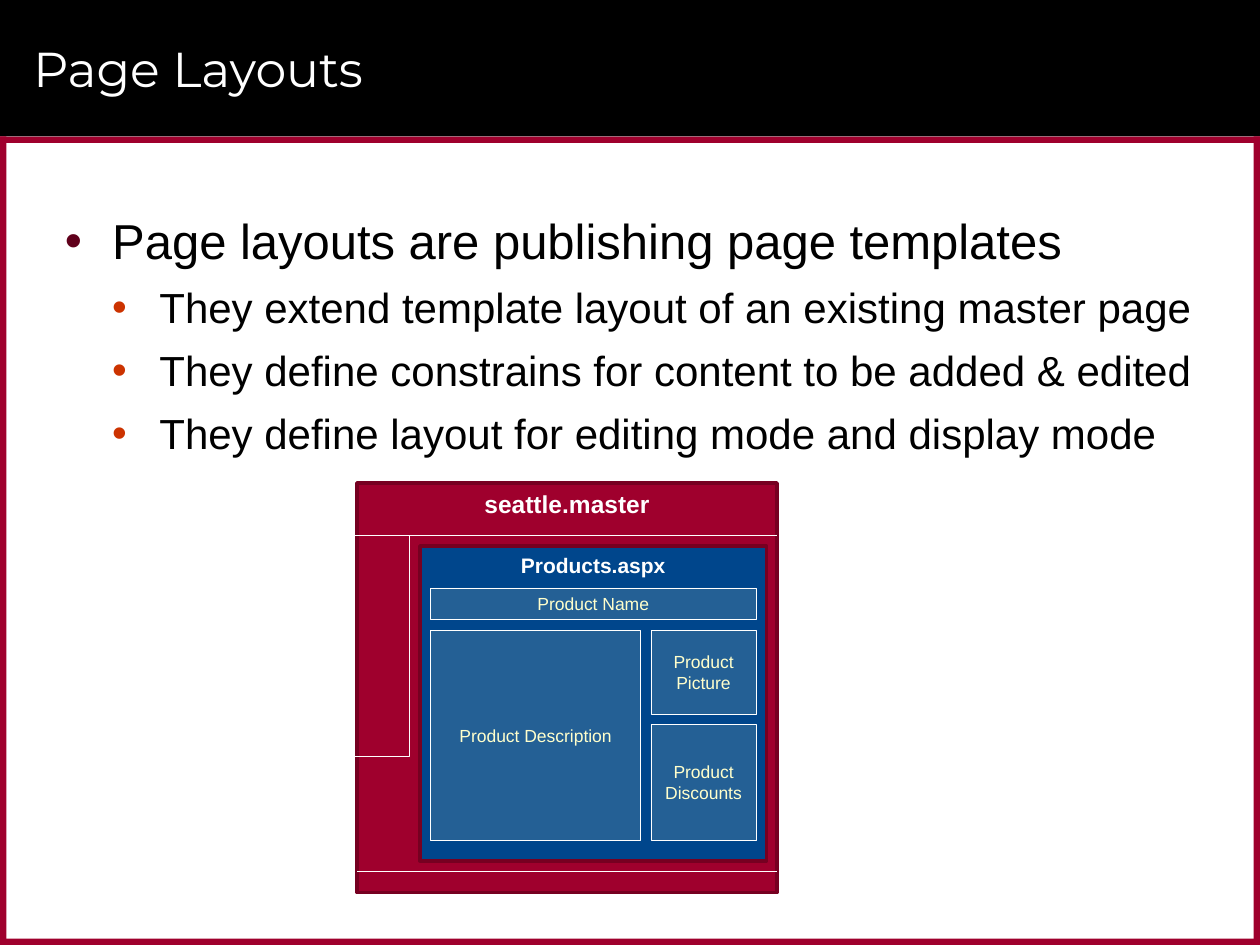
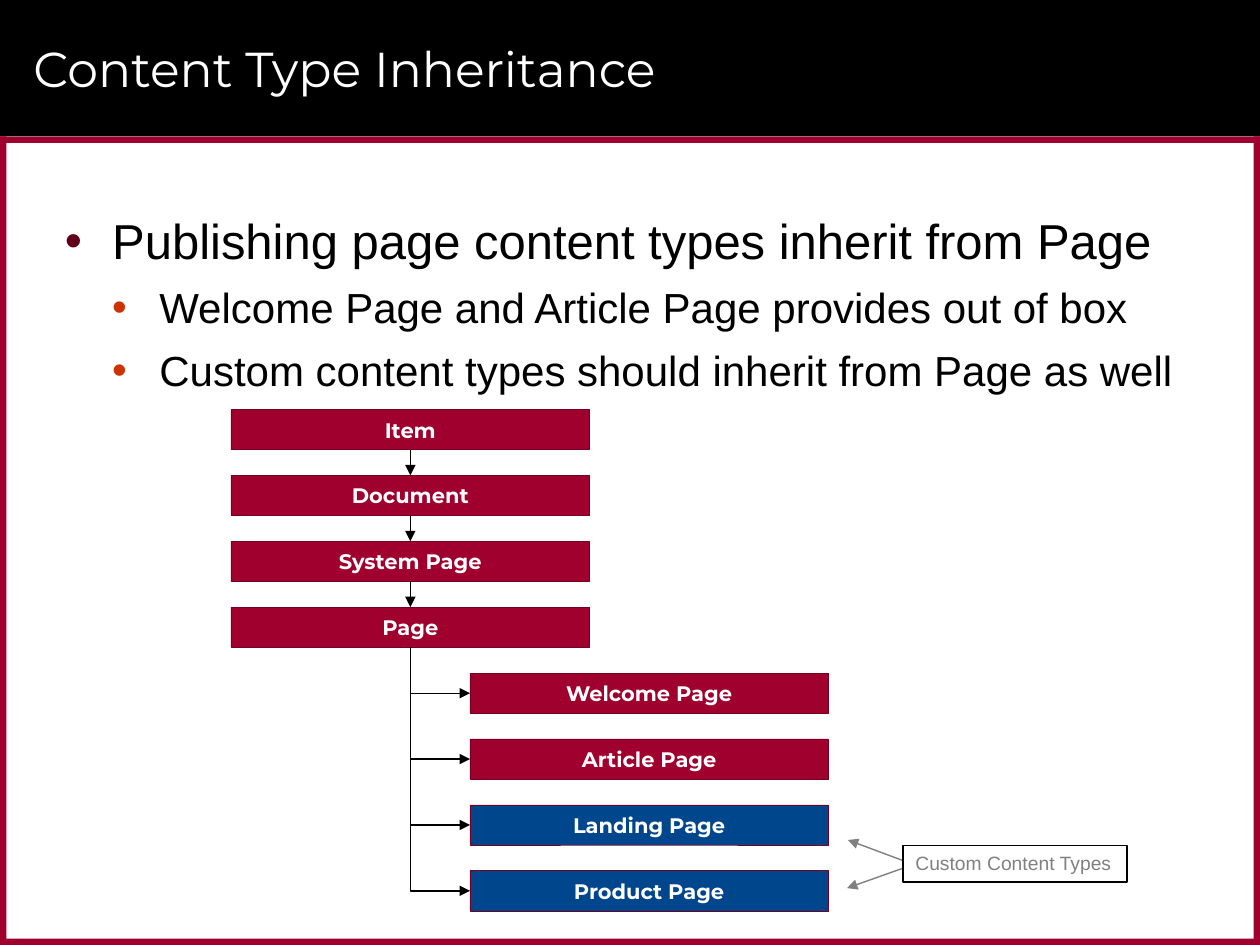
from lxml.etree import SubElement
from pptx import Presentation
from pptx.dml.color import RGBColor
from pptx.enum.shapes import MSO_CONNECTOR as CONNECTOR, MSO_SHAPE as SHAPE
from pptx.enum.text import MSO_ANCHOR as ANCHOR, PP_ALIGN as ALIGN
from pptx.oxml.ns import qn
from pptx.util import Pt

WHITE = RGBColor(0xFF, 0xFF, 0xFF)
BLACK = RGBColor(0x00, 0x00, 0x00)
CRIMSON = RGBColor(0x9F, 0x00, 0x2D)
DARK_CRIMSON = RGBColor(0x76, 0x00, 0x21)
BLUE = RGBColor(0x00, 0x46, 0x8C)
CREAM = RGBColor(0xFF, 0xFF, 0xCC)
GRAY = RGBColor(0x80, 0x80, 0x80)

BODY_FONT = "Arial"
TITLE_FONT = "Montserrat"
WIDTH, HEIGHT = 720, 540
HEADER_HEIGHT, FRAME = 78, 3.6

# Level: size, left margin, hanging indent, space before, space after, bullet
LEVELS = [(28, 27, 27, 0, 3, "60001B"), (24, 54, 27, 3.6, 3.6, "CC3300")]

CONTENT = [
    ("Page Layouts", [
        (0, "Page layouts are publishing page templates"),
        (1, "They extend template layout of an existing master page"),
        (1, "They define constrains for content to be added & edited"),
        (1, "They define layout for editing mode and display mode"),
    ]),
    ("Content Type Inheritance", [
        (0, "Publishing page content types inherit from Page"),
        (1, "Welcome Page and Article Page provides out of box"),
        (1, "Custom content types should inherit from Page as well"),
    ]),
]


def add_box(slide, left, top, width, height, fill=None, line=None, line_width=0.25,
            text="", size=12, font=BODY_FONT, color=WHITE, bold=False,
            anchor=ANCHOR.MIDDLE, align=ALIGN.CENTER):
    shape = slide.shapes.add_shape(SHAPE.RECTANGLE, Pt(left), Pt(top), Pt(width), Pt(height))
    shape.shadow.inherit = False
    if fill is None:
        shape.fill.background()
    else:
        shape.fill.solid()
        shape.fill.fore_color.rgb = fill
    if line is None:
        shape.line.fill.background()
    else:
        shape.line.color.rgb = line
        shape.line.width = Pt(line_width)
    if text:
        text_frame = shape.text_frame
        text_frame.text = text
        text_frame.vertical_anchor = anchor
        text_frame.margin_left = text_frame.margin_right = Pt(3.6)
        paragraph = text_frame.paragraphs[0]
        paragraph.alignment = align
        paragraph.font.name = font
        paragraph.font.size = Pt(size)
        paragraph.font.bold = bold
        paragraph.font.color.rgb = color
    return shape


def add_line(slide, x1, y1, x2, y2, color, arrow=True, kind=CONNECTOR.STRAIGHT):
    connector = slide.shapes.add_connector(kind, Pt(x1), Pt(y1), Pt(x2), Pt(y2))
    connector.line.color.rgb = color
    connector.line.width = Pt(0.79)
    properties = connector._element.spPr
    if arrow:
        SubElement(properties.find(qn("a:ln")), qn("a:tailEnd"), type="triangle")
    SubElement(properties, qn("a:effectLst"))
    return connector


presentation = Presentation()
presentation.slide_width, presentation.slide_height = Pt(WIDTH), Pt(HEIGHT)

# Header, frame, title and bullets of every slide
for title, bullets in CONTENT:
    slide = presentation.slides.add_slide(presentation.slide_layouts[6])
    add_box(slide, 0, 0, WIDTH, HEADER_HEIGHT, BLACK)
    for top in (HEADER_HEIGHT, HEIGHT - FRAME):
        add_box(slide, 0, top, WIDTH, FRAME, CRIMSON)
    for left in (0, WIDTH - FRAME):
        add_box(slide, left, HEADER_HEIGHT, FRAME, HEIGHT - HEADER_HEIGHT, CRIMSON)

    text_frame = slide.shapes.add_textbox(Pt(12), Pt(6), Pt(678), Pt(66)).text_frame
    text_frame.word_wrap = True
    text_frame.vertical_anchor = ANCHOR.MIDDLE
    text_frame.text = title
    font = text_frame.paragraphs[0].font
    font.name, font.size, font.color.rgb = TITLE_FONT, Pt(28), WHITE

    text_frame = slide.shapes.add_textbox(Pt(30), Pt(117), Pt(660), Pt(405)).text_frame
    text_frame.word_wrap = True
    for index, (level, text) in enumerate(bullets):
        size, margin, hanging, before, after, bullet_color = LEVELS[level]
        paragraph = text_frame.add_paragraph() if index else text_frame.paragraphs[0]
        paragraph.text = text
        paragraph.level = level
        paragraph.space_before, paragraph.space_after = Pt(before), Pt(after)
        properties = paragraph._p.get_or_add_pPr()
        properties.set("marL", str(Pt(margin)))
        properties.set("indent", str(-Pt(hanging)))
        SubElement(SubElement(properties, qn("a:buClr")), qn("a:srgbClr"), val=bullet_color)
        SubElement(properties, qn("a:buFont"), typeface=BODY_FONT)
        SubElement(properties, qn("a:buChar"), char="•")
        paragraph.font.name = BODY_FONT
        paragraph.font.size = Pt(size)
        paragraph.font.color.rgb = BLACK

layouts_slide, inheritance_slide = presentation.slides

# Master page with its header, side and footer areas
add_box(layouts_slide, 204, 276, 240, 234, CRIMSON, DARK_CRIMSON, 2,
        "seattle.master", 14, bold=True, anchor=ANCHOR.TOP)
add_line(layouts_slide, 444, 306, 204, 306, WHITE, arrow=False)
add_box(layouts_slide, 198, 306, 36, 126, line=WHITE)

# Page layout and its translucent fields
add_box(layouts_slide, 240, 312, 198, 180, BLUE, DARK_CRIMSON, 2,
        "Products.aspx", 12, bold=True, anchor=ANCHOR.TOP)
for text, left, top, width, height in [
    ("Product Description", 246, 360, 120, 120),
    ("Product Name", 246, 336, 186, 18),
    ("Product Picture", 372, 360, 60, 48),
    ("Product Discounts", 372, 414, 60, 66),
]:
    field = add_box(layouts_slide, left, top, width, height, CREAM, WHITE,
                    text=text, size=10, color=CREAM)
    fill_color = field._element.spPr.find(qn("a:solidFill")).find(qn("a:srgbClr"))
    SubElement(fill_color, qn("a:alpha"), val="14000")
add_line(layouts_slide, 444, 498, 204, 498, WHITE, arrow=False)

# Content type boxes: a chain of ancestors, then the types derived from Page
CHAIN = ["Item", "Document", "System Page", "Page"]
DERIVED = ["Welcome Page", "Article Page", "Landing Page", "Product Page"]
CUSTOM = DERIVED[2:]
CHAIN_LEFT, DERIVED_LEFT, FIRST_TOP = 132, 268.5, 234
TYPE_WIDTH, TYPE_HEIGHT, STEP = 205, 23, 37.65

type_boxes = []
for index, name in enumerate(CHAIN + DERIVED):
    left = CHAIN_LEFT if name in CHAIN else DERIVED_LEFT
    fill = BLUE if name in CUSTOM else CRIMSON
    type_boxes.append(add_box(inheritance_slide, left, FIRST_TOP + index * STEP,
                              TYPE_WIDTH, TYPE_HEIGHT, fill, DARK_CRIMSON,
                              text=name, font=TITLE_FONT, bold=True))

# Arrows down the chain
chain_boxes = type_boxes[:len(CHAIN)]
for parent, child in zip(chain_boxes, chain_boxes[1:]):
    arrow = add_line(inheritance_slide, 0, 0, 0, 0, BLACK)
    arrow.begin_connect(parent, 2)
    arrow.end_connect(child, 0)

# Elbow arrows from Page: down, then right (a one-bend connector turned by 270°)
trunk_x = CHAIN_LEFT + TYPE_WIDTH / 2
trunk_top = FIRST_TOP + (len(CHAIN) - 1) * STEP + TYPE_HEIGHT
run = DERIVED_LEFT - trunk_x
for index in reversed(range(len(CHAIN), len(type_boxes))):
    drop = FIRST_TOP + index * STEP + TYPE_HEIGHT / 2 - trunk_top
    center_x, center_y = trunk_x + run / 2, trunk_top + drop / 2
    elbow = add_line(inheritance_slide, center_x + drop / 2, center_y - run / 2,
                     center_x - drop / 2, center_y + run / 2, BLACK, kind=CONNECTOR.ELBOW)
    properties = elbow._element.spPr
    properties.find(qn("a:prstGeom")).set("prst", "bentConnector2")
    properties.find(qn("a:xfrm")).set("rot", str(270 * 60000))

# Callout for the custom types
for tip_x, tip_y in [(484.5, 480), (484, 507.5)]:
    add_line(inheritance_slide, 522, 494, tip_x, tip_y, GRAY)
callout = add_box(inheritance_slide, 516, 483, 128, 21, WHITE, BLACK, 0.75,
                  "Custom Content Types", 11, color=GRAY, anchor=ANCHOR.TOP, align=ALIGN.LEFT)
callout.text_frame.word_wrap = False
callout.text_frame.margin_left = callout.text_frame.margin_right = Pt(7.2)

presentation.save("out.pptx")
